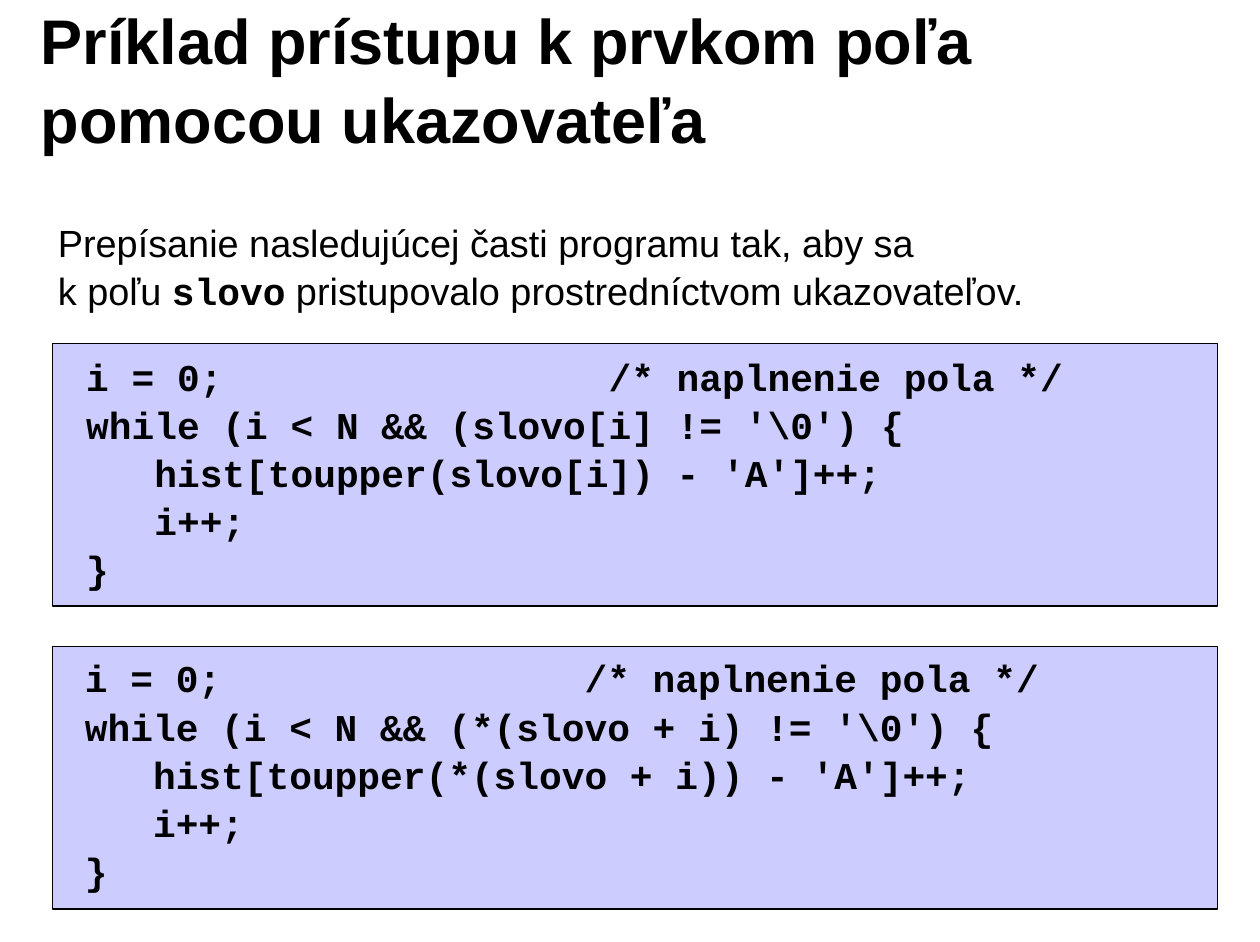
from pptx import Presentation
from pptx.dml.color import RGBColor
from pptx.enum.shapes import MSO_SHAPE
from pptx.enum.text import MSO_ANCHOR, MSO_AUTO_SIZE, PP_ALIGN
from pptx.util import Inches, Pt

RECTANGLE = MSO_SHAPE.RECTANGLE
TOP, MIDDLE = MSO_ANCHOR.TOP, MSO_ANCHOR.MIDDLE
LEFT = PP_ALIGN.LEFT
NO_AUTOFIT = MSO_AUTO_SIZE.NONE
TITLE_ONLY = 5

BLACK, LAVENDER = "000000", "CCCCFF"
SANS, MONO = "Arial", "Courier New"

TITLE = "Príklad prístupu k prvkom poľa pomocou ukazovateľa"
INTRO = [
    [("Prepísanie nasledujúcej časti programu tak, aby sa", SANS, False)],
    [("k poľu ", SANS, False), ("slovo", MONO, True),
     (" pristupovalo prostredníctvom ukazovateľov.", SANS, False)],
]
INDEX_CODE = [
    "i = 0;                 /* naplnenie pola */",
    "while (i < N && (slovo[i] != '\\0') {",
    "   hist[toupper(slovo[i]) - 'A']++;",
    "   i++;",
    "}",
]
POINTER_CODE = [
    "i = 0;                /* naplnenie pola */",
    "while (i < N && (*(slovo + i) != '\\0') {",
    "   hist[toupper(*(slovo + i)) - 'A']++;",
    "   i++;",
    "}",
]


def color(value):
    return RGBColor.from_string(value)


def set_frame(frame, inset_x, inset_y, anchor=TOP, wrap=True):
    frame.auto_size = NO_AUTOFIT
    frame.word_wrap = wrap
    frame.vertical_anchor = anchor
    frame.margin_left = frame.margin_right = Inches(inset_x)
    frame.margin_top = frame.margin_bottom = Inches(inset_y)


def fill_paragraph(para, spans, size, line_spacing):
    para.alignment = LEFT
    para.line_spacing = line_spacing
    for text, font_name, bold in spans:
        span = para.add_run()
        span.text = text
        span.font.name = font_name
        span.font.size = Pt(size)
        span.font.bold = bold
        span.font.color.rgb = color(BLACK)


def fill_frame(frame, lines, size, line_spacing):
    for number, spans in enumerate(lines):
        para = frame.add_paragraph() if number else frame.paragraphs[0]
        fill_paragraph(para, spans, size, line_spacing)


def set_title(page):
    title = page.shapes.title
    title.left, title.top = Inches(0.25), Inches(0.17)
    title.width, title.height = Inches(8.91), Inches(1.02)
    set_frame(title.text_frame, 0.11, 0.06, MIDDLE)
    fill_frame(title.text_frame, [[(TITLE, SANS, True)]], 40, 1.05)


def add_intro(page):
    box = page.shapes.add_textbox(Inches(0.4), Inches(1.86),
                                  Inches(8.75), Inches(0.91))
    set_frame(box.text_frame, 0.11, 0.06, wrap=False)
    fill_frame(box.text_frame, INTRO, 24, 1.05)


def add_code_panel(page, top, code, inset_x, inset_y):
    panel = page.shapes.add_shape(RECTANGLE, Inches(0.46), Inches(top),
                                  Inches(10.27), Inches(2.31))
    panel.shadow.inherit = False
    panel.fill.solid()
    panel.fill.fore_color.rgb = color(LAVENDER)
    panel.line.color.rgb = color(BLACK)
    panel.line.width = Pt(0.75)

    box = page.shapes.add_textbox(Inches(0.65), Inches(top),
                                  Inches(9.8), Inches(2.1))
    set_frame(box.text_frame, inset_x, inset_y)
    fill_frame(box.text_frame, [[(line, MONO, True)] for line in code], 24, 1.06)


def main():
    deck = Presentation()
    deck.slide_width, deck.slide_height = Inches(11.1), Inches(8.3)
    page = deck.slides.add_slide(deck.slide_layouts[TITLE_ONLY])

    # Heading and introduction
    set_title(page)
    add_intro(page)

    # Array indexing above, pointer access below
    add_code_panel(page, 3.03, INDEX_CODE, 0.11, 0.06)
    add_code_panel(page, 5.7, POINTER_CODE, 0.1, 0.05)

    deck.save("out.pptx")


if __name__ == "__main__":
    main()
